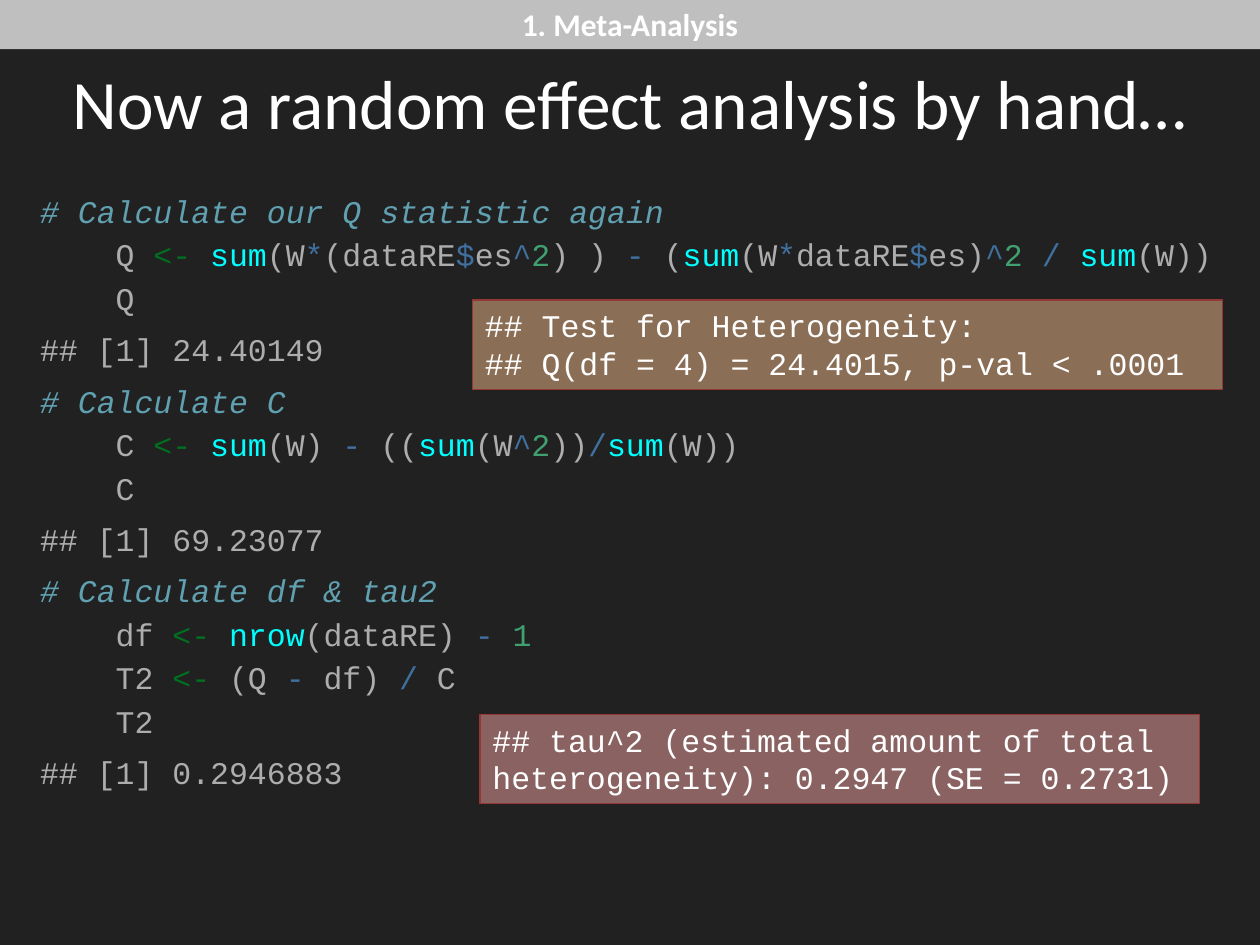
from pptx import Presentation
from pptx import util as u
from pptx.dml.color import RGBColor
from pptx.enum import shapes, text
from pptx.oxml.ns import qn
from lxml import etree

PLAIN, COMMENT, WHITE = "ADADAD", "60A0B0", "FFFFFF"
TOKEN_COLOURS = {"<-": "007020"}
TOKEN_COLOURS.update(dict.fromkeys(["sum", "nrow"], "00FFFF"))
TOKEN_COLOURS.update(dict.fromkeys(["*", "$", "^", "-", "/"], "4070A0"))
TOKEN_COLOURS.update(dict.fromkeys(["1", "2"], "40A070"))

# Each chunk: comment, code lines with "|" between tokens, printed output
CHUNKS = [
    ("# Calculate our Q statistic again",
     ["Q |<-| |sum|(W|*|(dataRE|$|es|^|2|) ) |-| (|sum|(W|*|dataRE|$|es)|^|2| |/| |sum|(W))",
      "Q"],
     "## [1] 24.40149"),
    ("# Calculate C",
     ["C |<-| |sum|(W) |-| ((|sum|(W|^|2|))|/|sum|(W))", "C"],
     "## [1] 69.23077"),
    ("# Calculate df & tau2",
     ["df |<-| |nrow|(dataRE) |-| |1", "T2 |<-| (Q |-| df) |/| C", "T2"],
     "## [1] 0.2946883"),
]


def rgb(colour):
    return RGBColor.from_string(colour)


class Deck:
    heading_font = "Calibri"
    code_font = "Courier New"
    size = 18
    code_indent = u.Inches(0.6)

    def __init__(self):
        self.prs = Presentation()
        self.prs.slide_width, self.prs.slide_height = u.Inches(10), u.Inches(7.5)
        self.slide = self.prs.slides.add_slide(self.prs.slide_layouts[5])
        fill = self.slide.background.fill
        fill.solid()
        fill.fore_color.rgb = rgb("212121")

    def style(self, paragraph, font, colour, size=size, bold=None):
        paragraph.font.name = font
        paragraph.font.size = u.Pt(size)
        paragraph.font.bold = bold
        paragraph.font.color.rgb = rgb(colour)

    def title(self, wording, *place):
        title = self.slide.shapes.title
        title.left, title.top, title.width, title.height = map(u.Inches, place)
        title.text_frame.text = wording
        self.style(title.text_frame.paragraphs[0], self.heading_font, WHITE, 39.6)

    def box(self, wording, place, fill, font, opacity=100, border=None,
            align=text.PP_ALIGN.LEFT, bold=None):
        box = self.slide.shapes.add_shape(
            shapes.MSO_SHAPE.RECTANGLE, *map(u.Inches, place))
        box.shadow.inherit = False
        box.fill.solid()
        box.fill.fore_color.rgb = rgb(fill)
        if opacity < 100:
            colour = box.fill._xPr.find(qn("a:solidFill"))[0]
            etree.SubElement(colour, qn("a:alpha")).set("val", str(opacity * 1000))
        if border:
            box.line.color.rgb = rgb(border)
            box.line.width = u.Pt(0.75)
        else:
            box.line.fill.background()
        frame = box.text_frame
        frame.word_wrap = True
        frame.vertical_anchor = text.MSO_ANCHOR.TOP
        paragraph = frame.paragraphs[0]
        paragraph.text = wording
        paragraph.alignment = align
        self.style(paragraph, font, WHITE, bold=bold)

    def code(self, chunks, *place):
        frame = self.slide.shapes.add_textbox(*map(u.Inches, place)).text_frame
        frame.word_wrap = True
        for number, (comment, lines, output) in enumerate(chunks):
            # Hanging indent: comment flush left, code lines set in
            source = frame.add_paragraph() if number else frame.paragraphs[0]
            properties = source._p.get_or_add_pPr()
            properties.set("marL", str(self.code_indent))
            properties.set("indent", str(-self.code_indent))
            remark = source.add_run()
            remark.text = comment
            remark.font.italic = True
            remark.font.color.rgb = rgb(COMMENT)
            for line in lines:
                source.add_line_break()
                for token in line.split("|"):
                    run = source.add_run()
                    run.text = token
                    run.font.color.rgb = rgb(TOKEN_COLOURS.get(token, PLAIN))
            result = frame.add_paragraph()
            result.text = output
        for paragraph in frame.paragraphs:
            self.style(paragraph, self.code_font, PLAIN)
            paragraph.line_spacing = 1.15
            paragraph.space_before = u.Pt(4.5)
        frame.paragraphs[0].space_before = u.Pt(0)


def main():
    deck = Deck()

    # R code with its printed results
    deck.code(CHUNKS, 0.22, 1.43, 9.7, 4.95)
    deck.title("Now a random effect analysis by hand…", 0.25, 0.18, 9.5, 1.25)

    # Matching package output
    deck.box("## Test for Heterogeneity:\v## Q(df = 4) = 24.4015, p-val < .0001",
             (3.75, 2.38, 5.95, 0.71), "FABF8E", deck.code_font, 49, "953734")
    deck.box("## tau^2 (estimated amount of total heterogeneity): 0.2947 (SE = 0.2731)",
             (3.81, 5.67, 5.71, 0.71), "D99593", deck.code_font, 57, "953734")

    # Section banner
    deck.box("1. Meta-Analysis", (0, -0.01, 10, 0.4), "BFBFBF", deck.heading_font,
             align=text.PP_ALIGN.CENTER, bold=True)

    deck.prs.save("out.pptx")


if __name__ == "__main__":
    main()
